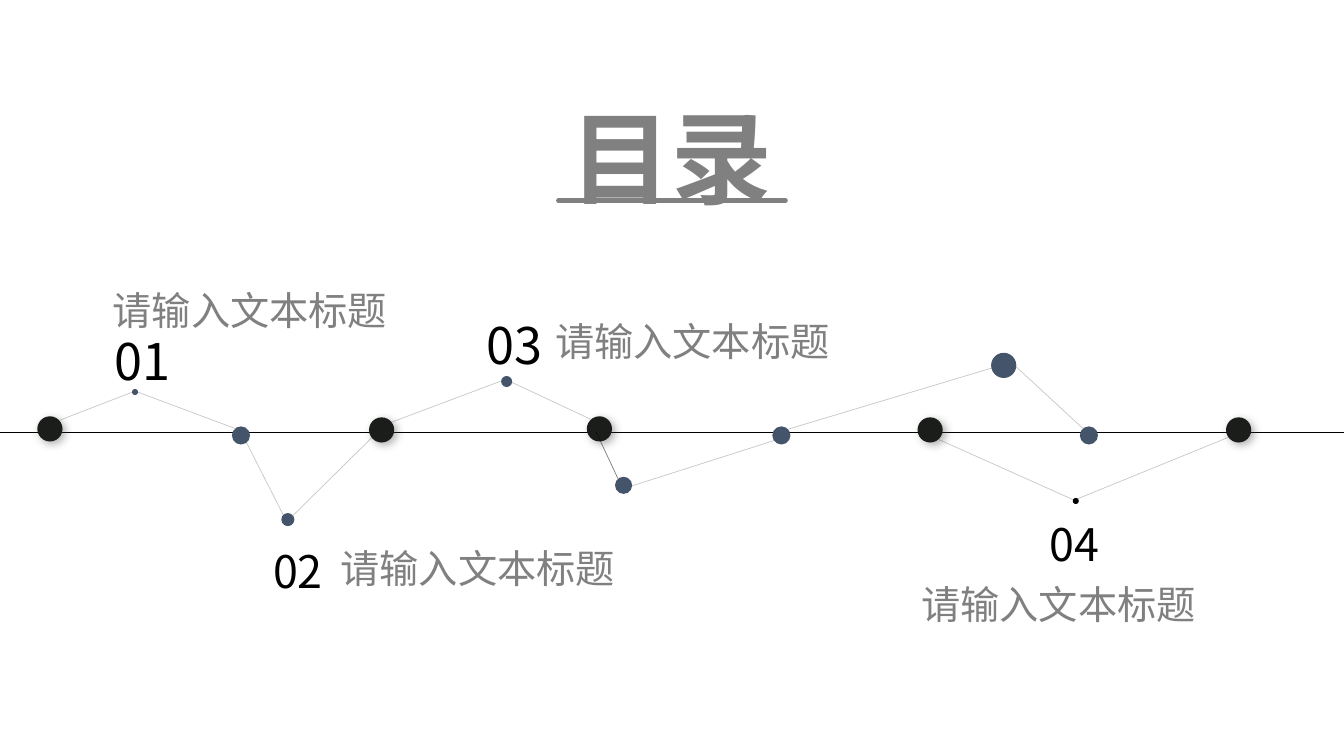
import pptx
import pptx.util
import pptx.dml.color
import pptx.enum.shapes
import pptx.enum.text
import pptx.oxml
import pptx.oxml.ns
import pptx.oxml.xmlchemy
from dataclasses import dataclass


@dataclass(frozen=True)
class Theme:
    font: str = "Noto Sans CJK SC"
    black: str = "000000"
    ink: str = "1A1D1A"
    slate: str = "44546A"
    gray: str = "808080"
    shadow: str = "404040"
    title_size: int = 72
    large_number: int = 36
    small_number: int = 32
    caption_size: int = 28


THEME = Theme()
PX = 9144  # 100 px to the inch
PAGE_WIDTH, PAGE_HEIGHT = 1333, 750
AXIS_Y = 429

TITLE = ("目录", (420, 40, 492, 170))
UNDERLINE = (554, 199, 779, 199)
CAPTION = "请输入文本标题"

# number, type size, number box, caption box: left, top, width, height
ENTRIES = [
    ("01", THEME.large_number, (45, 323, 193, 71), (102, 279, 304, 57)),
    ("02", THEME.small_number, (199, 534, 193, 64), (328, 535, 362, 57)),
    ("03", THEME.large_number, (414, 307, 193, 71), (541, 310, 362, 57)),
    ("04", THEME.small_number, (969, 508, 193, 64), (904, 571, 362, 57)),
]

# left, top
MAIN_DOTS = [(37, 413), (366, 414), (582, 413), (910, 414), (1216, 414)]
MAIN_DIAMETER = 25
MINOR_DOT_LEFTS = [230, 766, 1071]
MINOR_TOP, MINOR_DIAMETER = 423, 18

# left, top, diameter, colour
PEAK_DOTS = [
    (131, 386, 6, THEME.slate),
    (279, 509, 13, THEME.slate),
    (497, 373, 11, THEME.slate),
    (610, 473, 17, THEME.slate),
    (983, 350, 25, THEME.slate),
    (1064, 494, 6, THEME.black),
]

# start x, start y, end x, end y, opacity in percent
LINKS = [
    (59, 417, 134, 388, 21),
    (134, 388, 233, 425, 21),
    (244, 438, 281, 511, 21),
    (290, 512, 369, 434, 21),
    (388, 419, 497, 378, 21),
    (586, 416, 507, 379, 21),
    (591, 428, 613, 475, 51),
    (768, 437, 627, 482, 21),
    (984, 365, 781, 426, 21),
    (1074, 425, 1008, 364, 21),
    (1065, 496, 931, 436, 21),
    (1218, 434, 1066, 496, 21),
]


def rgb(colour):
    return pptx.dml.color.RGBColor.from_string(colour)


def scaled(*lengths):
    return [length * PX for length in lengths]


def add_line(page, ends, colour, width, opacity=100, rounded=False):
    line = page.shapes.add_connector(
        pptx.enum.shapes.MSO_CONNECTOR.STRAIGHT, *scaled(*ends))
    line.line.color.rgb = rgb(colour)
    line.line.width = pptx.util.Pt(width)
    properties = line._element.spPr
    if opacity < 100:
        fill = properties.find(".//" + pptx.oxml.ns.qn("a:srgbClr"))
        alpha = pptx.oxml.xmlchemy.OxmlElement("a:alpha")
        alpha.set("val", str(opacity * 1000))
        fill.append(alpha)
    if rounded:
        properties.find(pptx.oxml.ns.qn("a:ln")).set("cap", "rnd")
    properties.append(pptx.oxml.xmlchemy.OxmlElement("a:effectLst"))


def add_dot(page, left, top, diameter, colour):
    dot = page.shapes.add_shape(
        pptx.enum.shapes.MSO_SHAPE.OVAL, *scaled(left, top, diameter, diameter))
    dot.shadow.inherit = False
    dot.fill.solid()
    dot.fill.fore_color.rgb = rgb(colour)
    dot.line.fill.background()
    return dot


def cast_shadow(dot):
    """Give the dot a soft shadow to the lower right."""
    effects = dot._element.spPr.find(pptx.oxml.ns.qn("a:effectLst"))
    effects.append(pptx.oxml.parse_xml(
        f'<a:outerShdw {pptx.oxml.ns.nsdecls("a")} blurRad="76200" dist="38100" '
        f'dir="2700000" algn="tl" rotWithShape="0"><a:srgbClr val="{THEME.shadow}">'
        '<a:alpha val="40000"/></a:srgbClr></a:outerShdw>'))


def add_text(page, text, area, size, colour, centred=False, bold=False):
    box = page.shapes.add_textbox(*scaled(*area))
    frame = box.text_frame
    frame.word_wrap = True
    frame.text = text
    para = frame.paragraphs[0]
    if centred:
        para.alignment = pptx.enum.text.PP_ALIGN.CENTER
    span = para.runs[0]
    span.font.name = THEME.font
    span.font.size = pptx.util.Pt(size)
    span.font.bold = bold
    span.font.color.rgb = rgb(colour)
    east_asian = pptx.oxml.xmlchemy.OxmlElement("a:ea")
    east_asian.set("typeface", THEME.font)
    span.font._element.append(east_asian)
    return frame


def main():
    deck = pptx.Presentation()
    deck.slide_width, deck.slide_height = scaled(PAGE_WIDTH, PAGE_HEIGHT)
    page = deck.slides.add_slide(deck.slide_layouts[6])

    add_line(page, UNDERLINE, THEME.gray, 3.5, rounded=True)
    add_line(page, (0, AXIS_Y, PAGE_WIDTH, AXIS_Y), THEME.black, 0.75)
    for left in MINOR_DOT_LEFTS:
        add_dot(page, left, MINOR_TOP, MINOR_DIAMETER, THEME.slate)
    for left, top in MAIN_DOTS:
        cast_shadow(add_dot(page, left, top, MAIN_DIAMETER, THEME.ink))
    for *ends, opacity in LINKS:
        add_line(page, ends, THEME.black, 0.5, opacity)
    for peak in PEAK_DOTS:
        add_dot(page, *peak)

    for number, size, number_area, caption_area in ENTRIES:
        add_text(page, number, number_area, size, THEME.black, centred=True)
        add_text(page, CAPTION, caption_area, THEME.caption_size, THEME.gray)
    title = add_text(page, *TITLE, THEME.title_size, THEME.gray,
                     centred=True, bold=True)
    title.vertical_anchor = pptx.enum.text.MSO_ANCHOR.MIDDLE
    title.paragraphs[0].line_spacing = 1.5

    deck.save("out.pptx")


if __name__ == "__main__":
    main()
